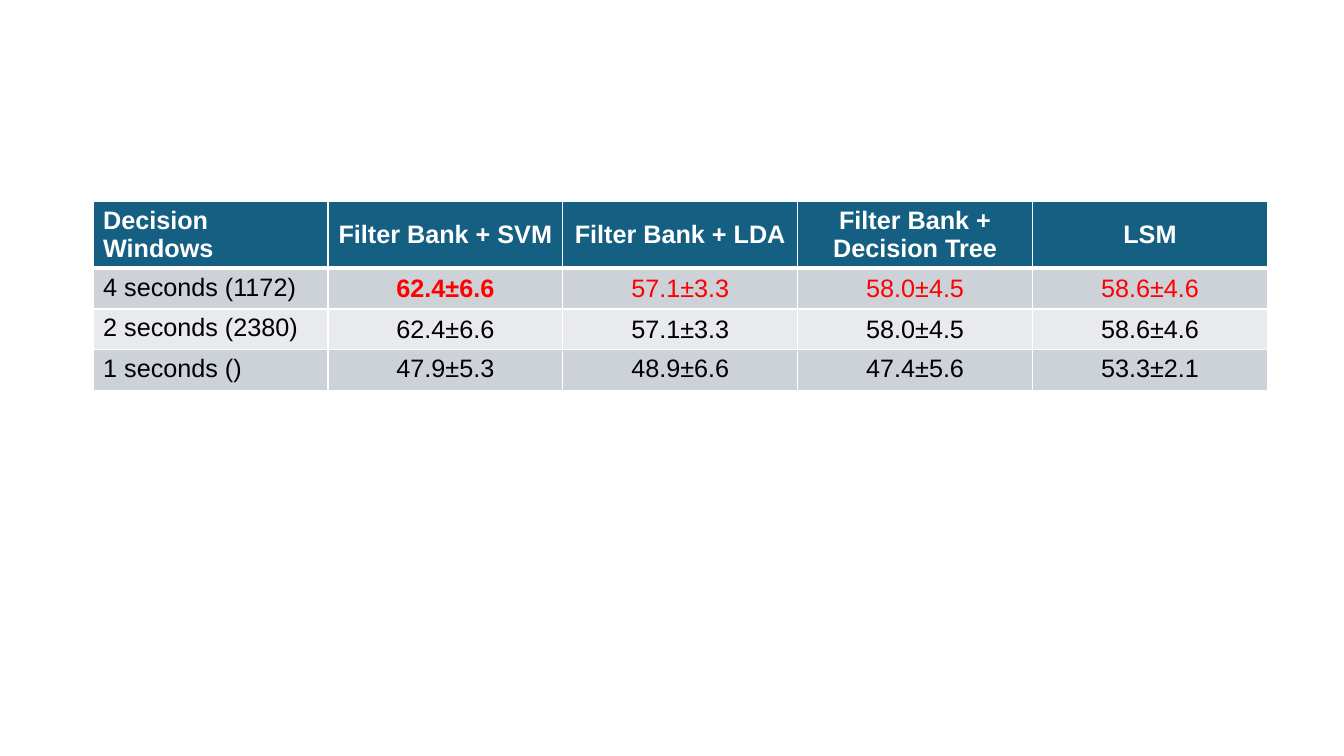
from lxml.etree import SubElement
from pptx import Presentation
from pptx.dml.color import RGBColor
from pptx.enum.text import MSO_ANCHOR as Anchor, PP_ALIGN as Align
from pptx.oxml.ns import qn
from pptx.util import Pt

HEADER = ["Decision Windows", "Filter Bank + SVM", "Filter Bank + LDA",
          "Filter Bank + Decision Tree", "LSM"]
RESULTS = [
    ["4 seconds (1172)", "62.4±6.6", "57.1±3.3", "58.0±4.5", "58.6±4.6"],
    ["2 seconds (2380)", "62.4±6.6", "57.1±3.3", "58.0±4.5", "58.6±4.6"],
    ["1 seconds ()", "47.9±5.3", "48.9±6.6", "47.4±5.6", "53.3±2.1"],
]
HIGHLIGHT_ROW = 1
BEST_CELL = (1, 1)


class Theme:
    """Colours, type and line widths of the slide."""
    font = "Arial"
    size = 18
    header = "156082"
    bands = ["CCD2D8", "E8EAED"]
    white = "FFFFFF"
    black = "000000"
    red = "FF0000"
    thin = 1
    thick = 3


SLIDE_SIZE = (960, 540)
LEFT, TOP = 66.5, 144
COLUMN_WIDTH = 167.76
HEADER_HEIGHT, ROW_HEIGHT = 46.8, 29.2


def write_text(frame, text, color=Theme.black, bold=False, align=Align.LEFT):
    """Put one formatted run of text into a text frame."""
    paragraph = frame.paragraphs[0]
    paragraph.alignment = align
    run = paragraph.add_run()
    run.text = text
    run.font.name = Theme.font
    run.font.size = Pt(Theme.size)
    run.font.bold = bold
    run.font.color.rgb = RGBColor.from_string(color)


def set_borders(cell, top, bottom):
    """Draw white lines on the four sides of a cell."""
    properties = cell._tc.get_or_add_tcPr()
    widths = {"lnL": Theme.thin, "lnR": Theme.thin, "lnT": top, "lnB": bottom}
    for side, width in widths.items():
        line = SubElement(properties, qn(f"a:{side}"), w=str(Pt(width)))
        fill = SubElement(line, qn("a:solidFill"))
        SubElement(fill, qn("a:srgbClr"), val=Theme.white)


def format_cell(cell, row, column, text, last_row):
    """Fill, border and write one cell according to its place."""
    is_header = row == 0
    is_value = column > 0
    set_borders(cell,
                top=Theme.thick if row == 1 else Theme.thin,
                bottom=Theme.thick if is_header else Theme.thin)
    cell.fill.solid()
    background = Theme.header if is_header else Theme.bands[(row - 1) % 2]
    cell.fill.fore_color.rgb = RGBColor.from_string(background)
    centred = is_value and row < last_row
    cell.vertical_anchor = Anchor.MIDDLE if centred else Anchor.TOP
    if is_header:
        color = Theme.white
    else:
        color = Theme.red if is_value and row == HIGHLIGHT_ROW else Theme.black
    write_text(cell.text_frame, text, color=color,
               bold=is_header or (row, column) == BEST_CELL,
               align=Align.CENTER if is_value else Align.LEFT)


def add_results_table(slide):
    """Add the table of accuracies per decision window."""
    rows = [HEADER, *RESULTS]
    height = HEADER_HEIGHT + ROW_HEIGHT * len(RESULTS)
    table = slide.shapes.add_table(
        len(rows), len(HEADER), Pt(LEFT), Pt(TOP),
        Pt(COLUMN_WIDTH * len(HEADER)), Pt(height)).table
    for column in table.columns:
        column.width = Pt(COLUMN_WIDTH)
    for index, texts in enumerate(rows):
        table.rows[index].height = Pt(ROW_HEIGHT if index else HEADER_HEIGHT)
        for column, text in enumerate(texts):
            format_cell(table.cell(index, column), index, column, text,
                        last_row=len(RESULTS))


def main():
    """Build the slide and save it."""
    presentation = Presentation()
    presentation.slide_width, presentation.slide_height = map(Pt, SLIDE_SIZE)
    slide = presentation.slides.add_slide(presentation.slide_layouts[6])
    add_results_table(slide)
    presentation.save("out.pptx")


if __name__ == "__main__":
    main()
